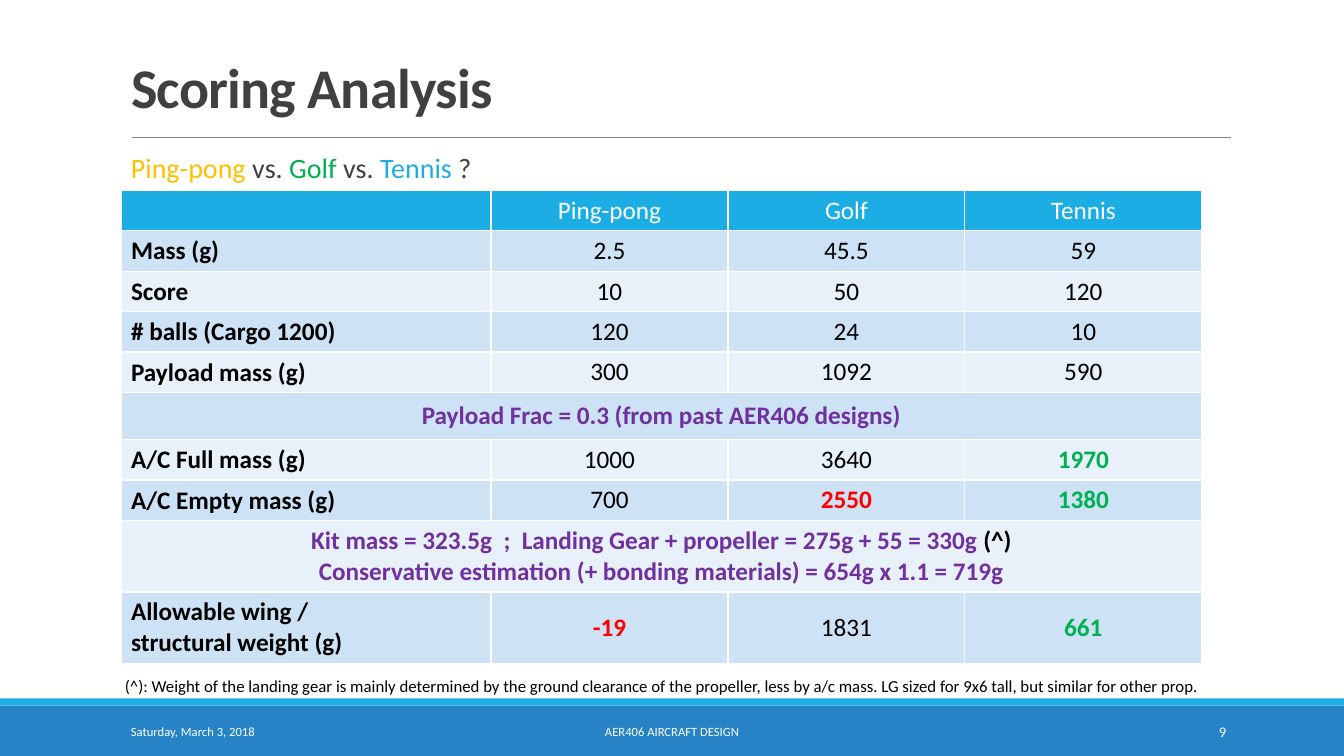
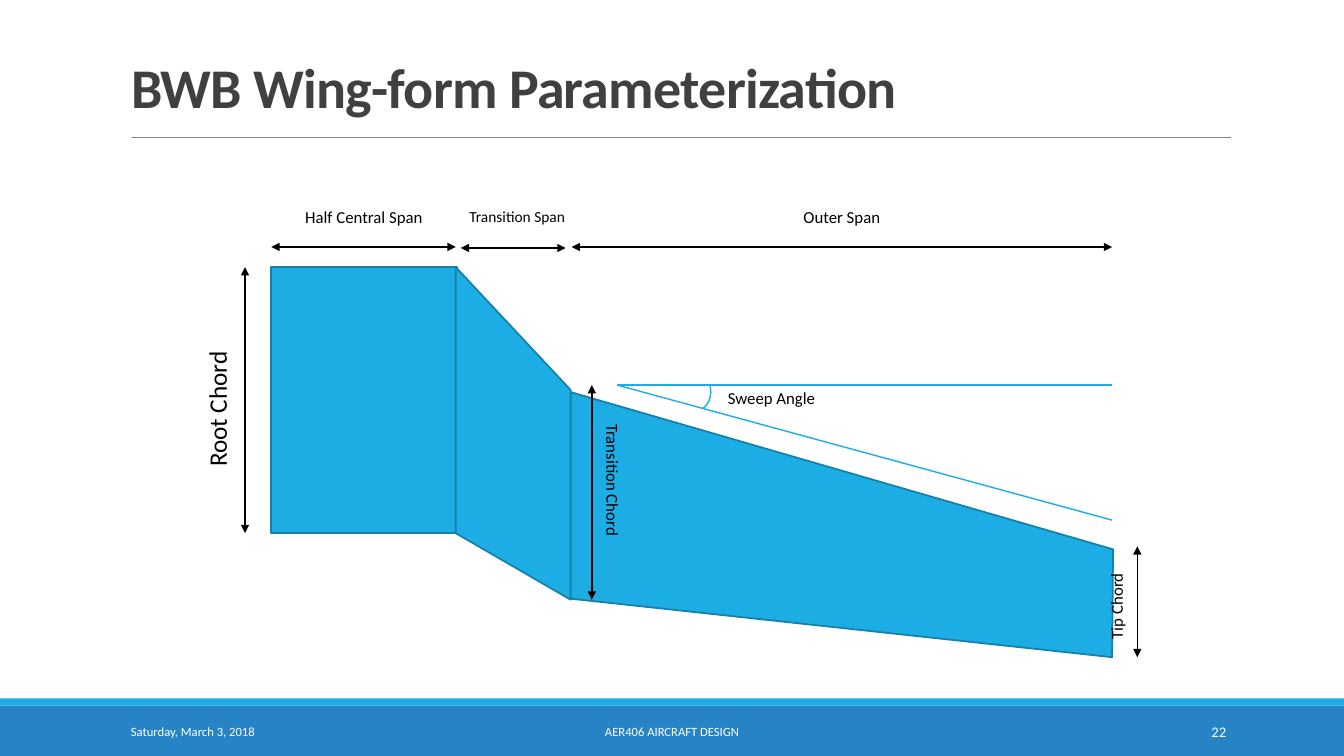
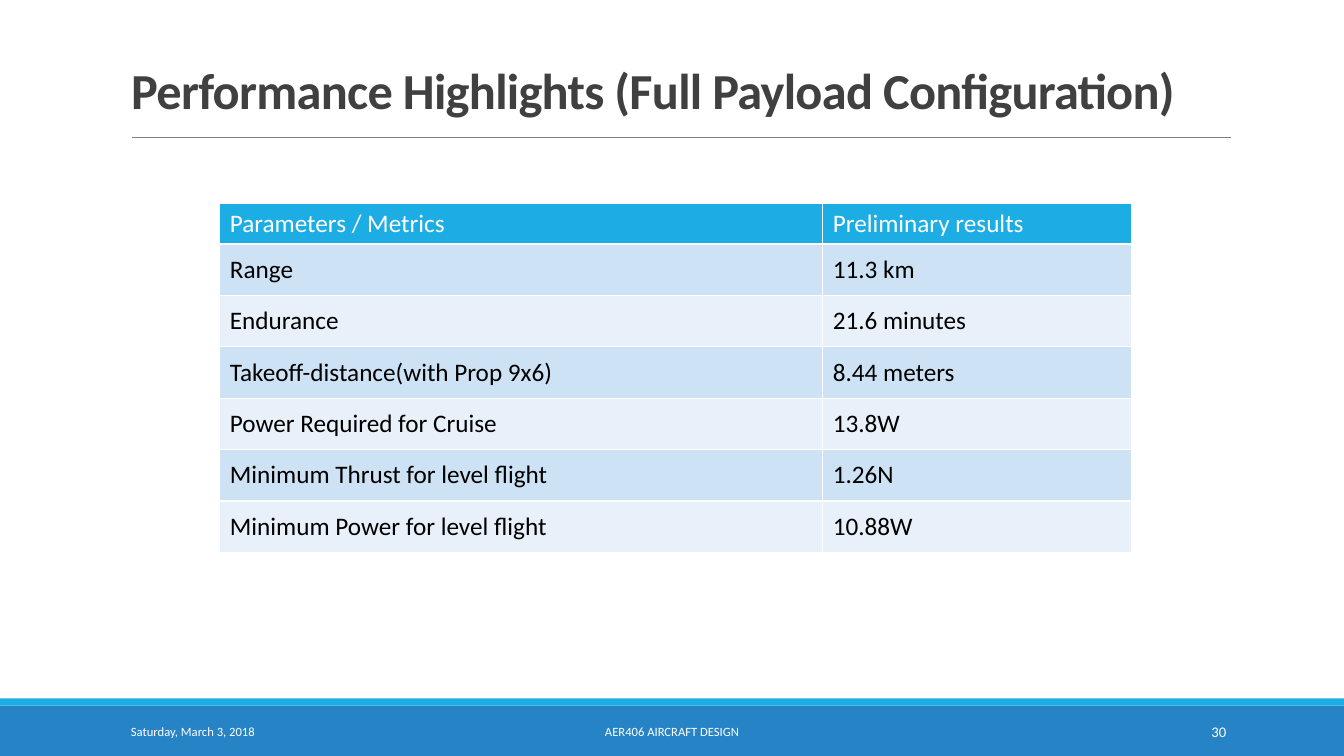
from pptx import Presentation
from pptx.dml.color import RGBColor
from pptx.enum import shapes, text
from pptx.oxml import ns, xmlchemy
from pptx.util import Inches, Pt

WHITE = RGBColor(0xFF, 0xFF, 0xFF)
BLACK = RGBColor(0, 0, 0)
GREY = RGBColor(0x80, 0x80, 0x80)
INK = RGBColor(0x40, 0x40, 0x40)
BLUE = RGBColor(0x26, 0x83, 0xC6)
CYAN = RGBColor(0x1C, 0xAD, 0xE4)
EDGE = RGBColor(0x15, 0x80, 0xA9)
BANDS = (RGBColor(0xE8, 0xF1, 0xFA), RGBColor(0xCD, 0xE3, 0xF5))
AMBER = RGBColor(0xFF, 0xC0, 0x00)
GREEN = RGBColor(0x00, 0xB0, 0x50)
RED = RGBColor(0xFF, 0, 0)
PURPLE = RGBColor(0x70, 0x30, 0xA0)

LEFT, CENTER, RIGHT = text.PP_ALIGN.LEFT, text.PP_ALIGN.CENTER, text.PP_ALIGN.RIGHT
TOP, MIDDLE = text.MSO_ANCHOR.TOP, text.MSO_ANCHOR.MIDDLE
RECT, ARC = shapes.MSO_SHAPE.RECTANGLE, shapes.MSO_SHAPE.ARC


class Deck:
    font = "Calibri"

    def __init__(self):
        self.prs = Presentation()
        self.prs.slide_width, self.prs.slide_height = Inches(13.33), Inches(7.5)

    def slide(self, title, number, size=40):
        self.s = self.prs.slides.add_slide(self.prs.slide_layouts[5])
        self.shape(RECT, 0, 7, 13.33, 0.5, BLUE)
        self.shape(RECT, 0, 6.93, 13.33, 0.07, CYAN)
        self.line(1.31, 1.36, 12.21, 1.36, GREY, 0.5)
        sp = self.s.shapes.title
        sp.left, sp.top, sp.width, sp.height = map(Inches, (1.2, 0.31, 11, 0.93))
        tf = sp.text_frame
        tf.auto_size = text.MSO_AUTO_SIZE.NONE
        tf.vertical_anchor = text.MSO_ANCHOR.BOTTOM
        self.set_text(tf, [title], size, INK, bold=True)
        p = tf.paragraphs[0]
        p.line_spacing = 0.85
        p.runs[0]._r.get_or_add_rPr().set("spc", "-50")
        for words, x, w, pts, align in (
            ("Saturday, March 3, 2018", 1.2, 2.7, 9, LEFT),
            ("AER406 AIRCRAFT DESIGN", 4.03, 5.27, 9, CENTER),
            (str(number), 10.83, 1.43, 10.5, RIGHT),
        ):
            self.label([words], x, 7.06, w, 0.4, pts, WHITE, align, anchor=MIDDLE)

    def set_text(self, tf, paragraphs, size, color, align=LEFT, bold=False):
        for i, content in enumerate(paragraphs):
            p = tf.add_paragraph() if i else tf.paragraphs[0]
            p.alignment = align
            p.font.name, p.font.size, p.font.bold = self.font, Pt(size), bold
            if isinstance(content, str):
                p.text = content
                p.font.color.rgb = color
                continue
            for words, run_color in content:
                r = p.add_run()
                r.text = words
                r.font.color.rgb = run_color

    def label(self, paragraphs, x, y, w, h, size=12, color=BLACK, align=LEFT,
              anchor=TOP, vert=None):
        sp = self.s.shapes.add_textbox(*map(Inches, (x, y, w, h)))
        tf = sp.text_frame
        tf.word_wrap = True
        tf.vertical_anchor = anchor
        self.set_text(tf, paragraphs, size, color, align)
        if vert:
            sp.element.txBody.bodyPr.set("vert", vert)
        return tf

    def paint(self, sp, fill, edge, width):
        sp.shadow.inherit = False
        if fill is None:
            sp.fill.background()
        else:
            sp.fill.solid()
            sp.fill.fore_color.rgb = fill
        if edge is None:
            sp.line.fill.background()
        else:
            sp.line.color.rgb = edge
            sp.line.width = Pt(width)
        return sp

    def shape(self, kind, x, y, w, h, fill=None, edge=None, width=1.25):
        sp = self.s.shapes.add_shape(kind, *map(Inches, (x, y, w, h)))
        return self.paint(sp, fill, edge, width)

    def polygon(self, points, fill, edge, width=1.25):
        start, *rest = [(Inches(x), Inches(y)) for x, y in points]
        outline = self.s.shapes.build_freeform(*start)
        outline.add_line_segments(rest, close=True)
        return self.paint(outline.convert_to_shape(), fill, edge, width)

    def line(self, x1, y1, x2, y2, color, width=1, arrows=False):
        c = self.s.shapes.add_connector(
            shapes.MSO_CONNECTOR.STRAIGHT, *map(Inches, (x1, y1, x2, y2)))
        c.line.color.rgb = color
        c.line.width = Pt(width)
        spPr = c.element.spPr
        if arrows:
            ln = spPr.find(ns.qn("a:ln"))
            for end in ("a:headEnd", "a:tailEnd"):
                tip = xmlchemy.OxmlElement(end)
                tip.set("type", "triangle")
                ln.append(tip)
        spPr.append(xmlchemy.OxmlElement("a:effectLst"))

    def table(self, x, y, widths, heights, rows, pad, labelled=False):
        box = map(Inches, (x, y, sum(widths), sum(heights)))
        table = self.s.shapes.add_table(len(rows), len(widths), *box).table
        for column, w in zip(table.columns, widths):
            column.width = Inches(w)
        for i, (row, h) in enumerate(zip(rows, heights)):
            table.rows[i].height = Inches(h)
            for cell in table.rows[i].cells:
                cell.fill.solid()
                cell.fill.fore_color.rgb = BANDS[i % 2] if i else CYAN
            spans = len(row) == 1
            if spans:
                table.cell(i, 0).merge(table.cell(i, len(widths) - 1))
            for j, value in enumerate(row):
                cell = table.cell(i, j)
                cell.vertical_anchor = MIDDLE
                if i and not spans and (j or not labelled):
                    cell.margin_left = cell.margin_right = Inches(pad)
                    cell.margin_top = cell.margin_bottom = Inches(pad)
                plain = isinstance(value, str)
                paragraphs, color = ([value], BLACK if i else WHITE) if plain else value
                align = CENTER if spans or labelled and j else LEFT
                bold = not plain or bool(labelled and i and not j)
                self.set_text(cell.text_frame, paragraphs, 18, color, align, bold)


def scoring(deck):
    deck.slide("Scoring Analysis", 9)
    question = [("Ping-pong", AMBER), (" vs. ", INK), ("Golf", GREEN),
                (" vs. ", INK), ("Tennis ", CYAN), ("?", INK)]
    tf = deck.label([question], 1.2, 1.48, 11, 0.4, 20)
    tf.paragraphs[0].line_spacing = 0.9
    kit = [("Kit mass = 323.5g  ;  Landing Gear + propeller = 275g + 55 = 330g ", PURPLE),
           ("(^)", BLACK)]
    estimate = "Conservative estimation (+ bonding materials) = 654g x 1.1 = 719g"
    rows = [
        ["", "Ping-pong", "Golf", "Tennis"],
        ["Mass (g)", "2.5", "45.5", "59"],
        ["Score", "10", "50", "120"],
        ["# balls (Cargo 1200)", "120", "24", "10"],
        ["Payload mass (g)", "300", "1092", "590"],
        [(["Payload Frac = 0.3 (from past AER406 designs)"], PURPLE)],
        ["A/C Full mass (g)", "1000", "3640", (["1970"], GREEN)],
        ["A/C Empty mass (g)", "700", (["2550"], RED), (["1380"], GREEN)],
        [([kit, estimate], PURPLE)],
        ["Allowable wing / \nstructural weight (g)", (["-19"], RED), "1831",
         (["661"], GREEN)],
    ]
    heights = [0.4] * 5 + [0.47] + [0.4] * 2 + [0.71] * 2
    deck.table(1.2, 1.89, [3.67] + [2.35] * 3, heights, rows, 0.02, labelled=True)
    deck.label(["(^): Weight of the landing gear is mainly determined by the ground "
                "clearance of the propeller, less by a/c mass. LG sized for 9x6 tall, "
                "but similar for other prop."], 1.14, 6.65, 11.06, 0.3)


def wing_form(deck):
    deck.slide("BWB Wing-form Parameterization", 22)
    deck.shape(RECT, 2.69, 2.65, 1.84, 2.64, CYAN, EDGE)
    transition = [(4.52, 2.65), (5.66, 3.87), (5.66, 5.95), (4.52, 5.29)]
    outer = [(5.66, 3.89), (11.04, 5.45), (11.03, 6.52), (5.66, 5.94)]
    for points in (transition, outer):
        deck.polygon(points, CYAN, EDGE)

    for name, x1, x2, y, box, size in (
        ("Half Central Span", 2.69, 4.52, 2.45, (2.61, 2, 2, 0.37), 12),
        ("Transition Span", 4.57, 5.61, 2.46, (4.39, 2.01, 1.48, 0.35), 11),
        ("Outer Span", 5.67, 11.03, 2.45, (5.42, 2, 5.86, 0.37), 12),
    ):
        deck.line(x1, y, x2, y, BLACK, arrows=True)
        deck.label([name], *box, size, align=CENTER)

    for name, x, y1, y2, box, size, vert in (
        ("Root Chord", 2.43, 2.65, 5.29, (1.95, 3.05, 0.62, 1.68), 18, "vert270"),
        ("Transition Chord", 5.87, 3.82, 5.95, (5.74, 4.11, 0.49, 1.55), 12, "vert"),
        ("Tip Chord", 11.28, 5.42, 6.52, (10.92, 5.49, 0.49, 0.95), 12, "vert270"),
    ):
        deck.line(x, y1, x, y2, BLACK, arrows=True)
        deck.label([name], *box, size, vert=vert)

    for y in (3.82, 5.16):
        deck.line(6.12, 3.82, 11.03, y, CYAN)
    arc = deck.shape(ARC, 6.76, 3.71, 0.29, 0.36, edge=CYAN, width=1)
    arc.adjustments[0], arc.adjustments[1] = 202.3, 40.88
    deck.label(["Sweep Angle"], 7.12, 3.8, 2.06, 0.37)


def performance(deck):
    deck.slide("Performance Highlights (Full Payload Configuration)", 30, 36)
    rows = [
        ["Parameters / Metrics", "Preliminary results"],
        ["Range", "11.3 km"],
        ["Endurance", "21.6 minutes"],
        ["Takeoff-distance(with Prop 9x6)", "8.44 meters"],
        ["Power Required for Cruise", "13.8W"],
        ["Minimum Thrust for level flight", "1.26N"],
        ["Minimum Power for level flight", "10.88W"],
    ]
    deck.table(2.18, 2.02, [5.98, 3.06], [0.4] + [0.51] * 6, rows, 0.1)


def main():
    deck = Deck()
    scoring(deck)
    wing_form(deck)
    performance(deck)
    deck.prs.save("out.pptx")


if __name__ == "__main__":
    main()
